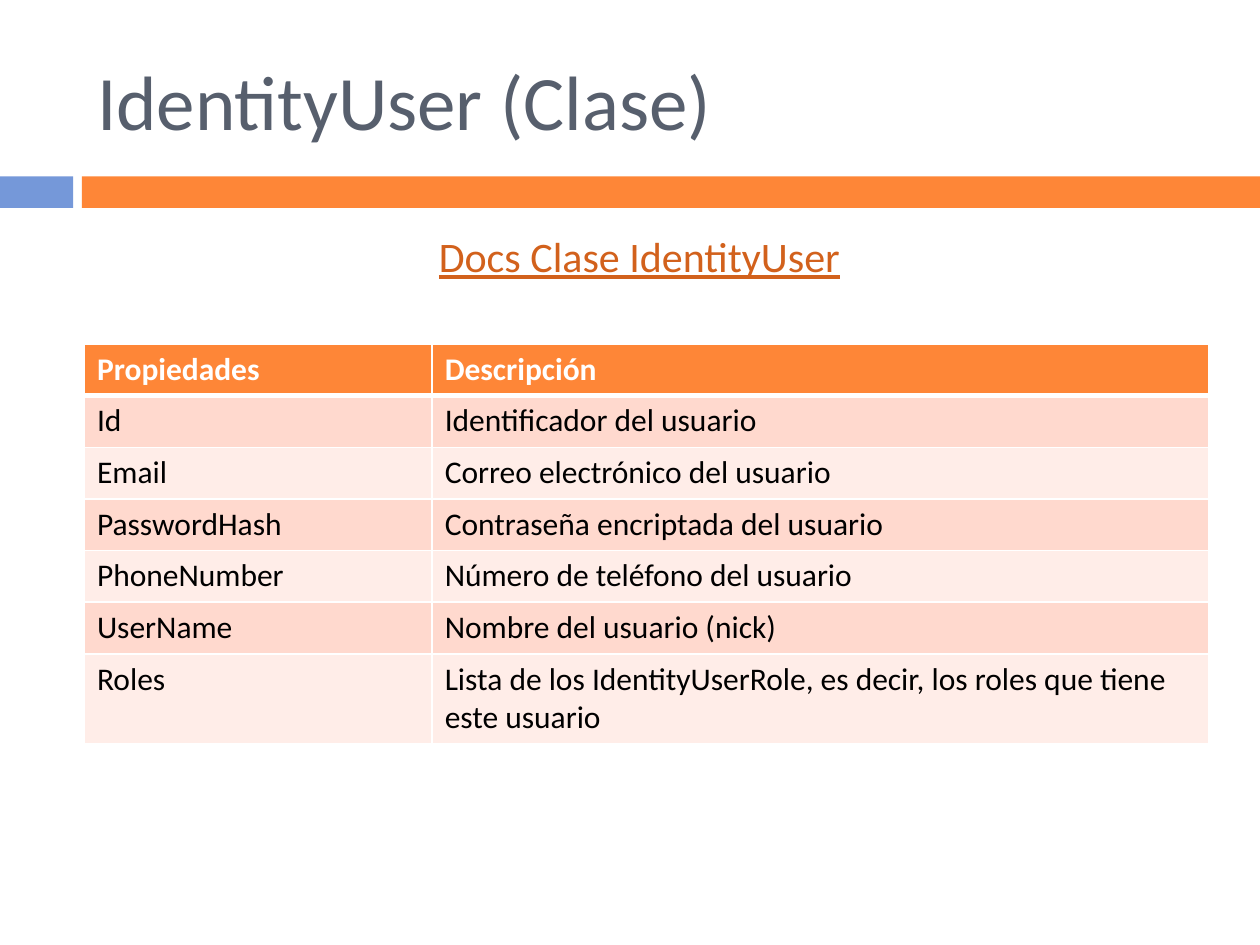
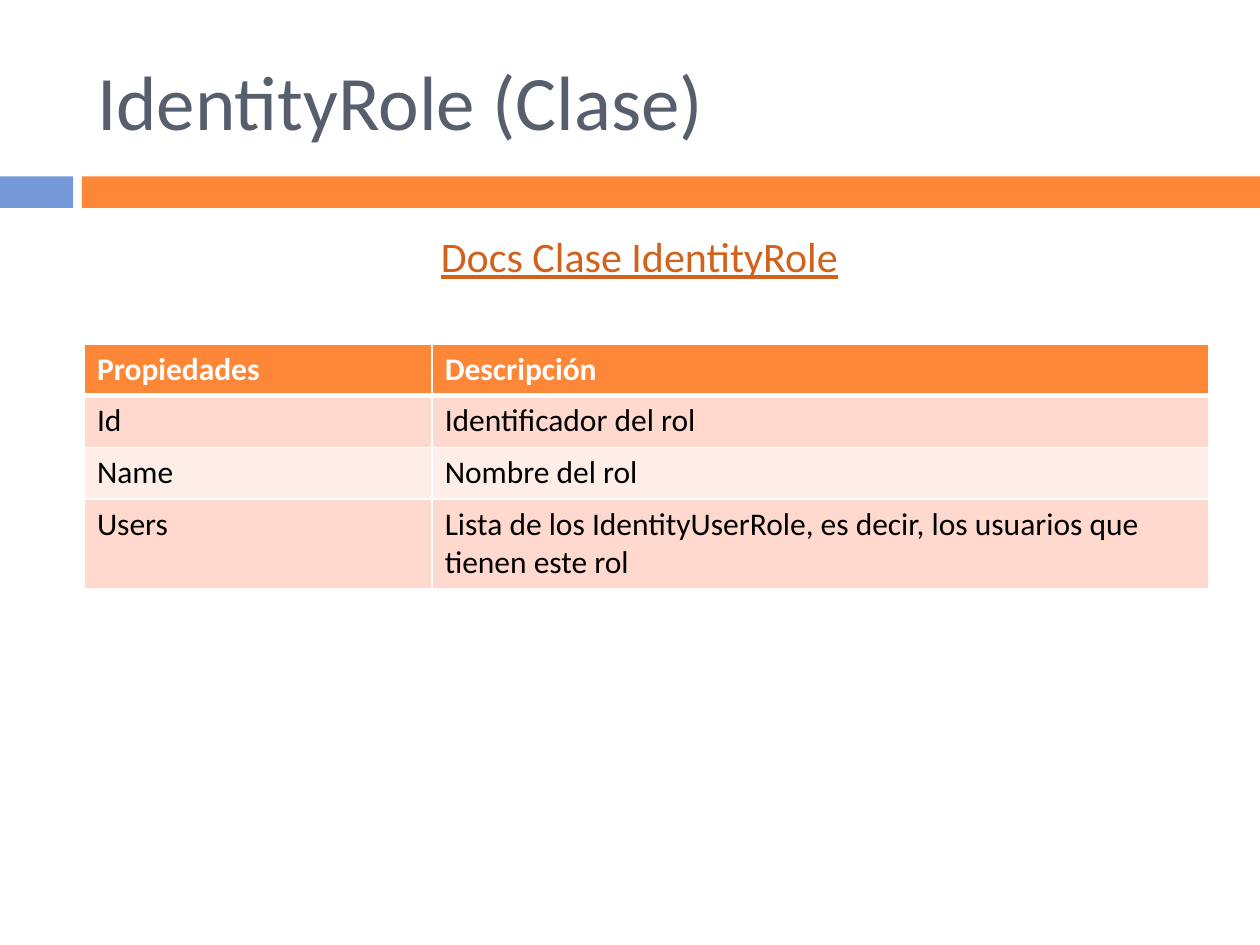
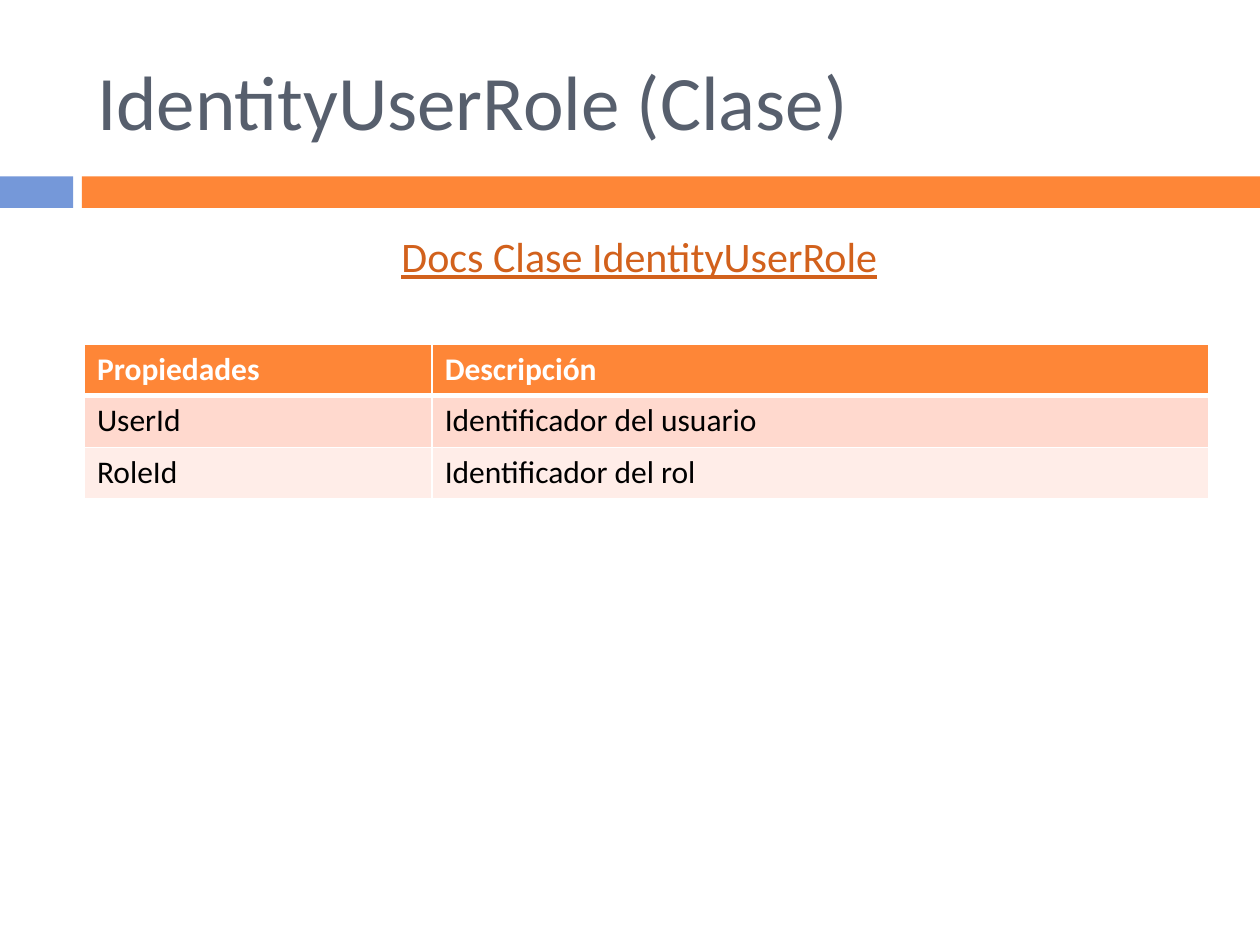
from pptx import Presentation
from pptx.dml.color import RGBColor
from pptx.enum.shapes import MSO_SHAPE
from pptx.enum.text import MSO_ANCHOR, MSO_AUTO_SIZE, PP_ALIGN
from pptx.oxml import parse_xml
from pptx.oxml.ns import nsdecls
from pptx.util import Inches, Pt

RECTANGLE = MSO_SHAPE.RECTANGLE
MIDDLE = MSO_ANCHOR.MIDDLE
NO_AUTOFIT = MSO_AUTO_SIZE.NONE
LEFT, CENTER = PP_ALIGN.LEFT, PP_ALIGN.CENTER
TITLE_ONLY = 5

FONT = "Calibri"
COLORS = {
    "title": "575F6D",
    "orange": "FE8637",
    "blue": "7598D9",
    "link": "D2611C",
    "odd_row": "FFD9CE",
    "even_row": "FFEDE8",
    "white": "FFFFFF",
    "black": "000000",
}

HEADINGS = ("Propiedades", "Descripción")
CLASSES = [
    ("IdentityUser", [
        ("Id", "Identificador del usuario"),
        ("Email", "Correo electrónico del usuario"),
        ("PasswordHash", "Contraseña encriptada del usuario"),
        ("PhoneNumber", "Número de teléfono del usuario"),
        ("UserName", "Nombre del usuario (nick)"),
        ("Roles", "Lista de los IdentityUserRole, es decir, "
                  "los roles que tiene este usuario"),
    ]),
    ("IdentityRole", [
        ("Id", "Identificador del rol"),
        ("Name", "Nombre del rol"),
        ("Users", "Lista de los IdentityUserRole, es decir, "
                  "los usuarios que tienen este rol"),
    ]),
    ("IdentityUserRole", [
        ("UserId", "Identificador del usuario"),
        ("RoleId", "Identificador del rol"),
    ]),
]

# Left, top, width and height in inches
SLIDE_SIZE = (10, 7.5)
TITLE_PLACE = (0.67, 0.25, 8.92, 1.08)
BANDS = [("blue", (0, 1.4, 0.58, 0.25)), ("orange", (0.65, 1.4, 9.35, 0.25))]
LINK_PLACE = (0.51, 1.78, 9.13, 0.81)
TABLE_LEFT, TABLE_TOP = 0.67, 2.73
COLUMN_WIDTHS = (2.76, 6.16)
ROW_HEIGHT, TALL_ROW_HEIGHT = 0.41, 0.7
LINE_CAPACITY = 60  # characters that fit on one line of a description


def inches(values):
    """Turn a sequence of numbers into lengths."""
    return [Inches(value) for value in values]


def rgb(name):
    """Look up a palette colour."""
    return RGBColor.from_string(COLORS[name])


def write(frame, text, size, color, align=LEFT, bold=False, underline=False):
    """Put one formatted paragraph in a text frame."""
    frame.text = text
    para = frame.paragraphs[0]
    para.alignment = align
    font = para.font
    font.name, font.size, font.color.rgb = FONT, Pt(size), rgb(color)
    font.bold, font.underline = bold, underline


def add_title(page, text):
    """Place and format the title placeholder."""
    title = page.shapes.title
    title.left, title.top, title.width, title.height = inches(TITLE_PLACE)
    frame = title.text_frame
    frame.vertical_anchor = MIDDLE
    frame.auto_size = NO_AUTOFIT
    write(frame, text, 44, "title")


def add_bands(page):
    """Draw the two coloured bars under the title."""
    for color, place in BANDS:
        band = page.shapes.add_shape(RECTANGLE, *inches(place))
        band.shadow.inherit = False
        band.fill.solid()
        band.fill.fore_color.rgb = rgb(color)
        band.line.fill.background()


def add_reference(page, text):
    """Add the centred, underlined reference line."""
    box = page.shapes.add_textbox(*inches(LINK_PLACE))
    box.text_frame.word_wrap = True
    write(box.text_frame, text, 24, "link", CENTER, underline=True)


def set_borders(cell, top, bottom):
    """Give a cell white borders; top and bottom widths are in points."""
    properties = cell._tc.get_or_add_tcPr()
    widths = {"lnL": 1, "lnR": 1, "lnT": top, "lnB": bottom}
    for position, (tag, width) in enumerate(widths.items()):
        properties.insert(position, parse_xml(
            f'<a:{tag} {nsdecls("a")} w="{Pt(width)}"><a:solidFill>'
            f'<a:srgbClr val="{COLORS["white"]}"/></a:solidFill></a:{tag}>'))


def add_property_table(page, properties):
    """Add the banded table of properties and descriptions."""
    rows = [HEADINGS] + properties
    heights = [TALL_ROW_HEIGHT if len(description) > LINE_CAPACITY else ROW_HEIGHT
               for _, description in rows]
    place = (TABLE_LEFT, TABLE_TOP, sum(COLUMN_WIDTHS), sum(heights))
    table = page.shapes.add_table(len(rows), len(HEADINGS), *inches(place)).table
    for column, width in zip(table.columns, COLUMN_WIDTHS):
        column.width = Inches(width)
    for index, (texts, height) in enumerate(zip(rows, heights)):
        table.rows[index].height = Inches(height)
        header = index == 0
        fill = "orange" if header else "odd_row" if index % 2 else "even_row"
        for cell, text in zip(table.rows[index].cells, texts):
            write(cell.text_frame, text, 18, "white" if header else "black",
                  bold=header)
            cell.fill.solid()
            cell.fill.fore_color.rgb = rgb(fill)
            set_borders(cell, top=3 if index == 1 else 1, bottom=3 if header else 1)


deck = Presentation()
deck.slide_width, deck.slide_height = inches(SLIDE_SIZE)
for class_name, class_properties in CLASSES:
    slide = deck.slides.add_slide(deck.slide_layouts[TITLE_ONLY])
    add_bands(slide)
    add_title(slide, f"{class_name} (Clase)")
    add_property_table(slide, class_properties)
    add_reference(slide, f"Docs Clase {class_name}")
deck.save("out.pptx")
